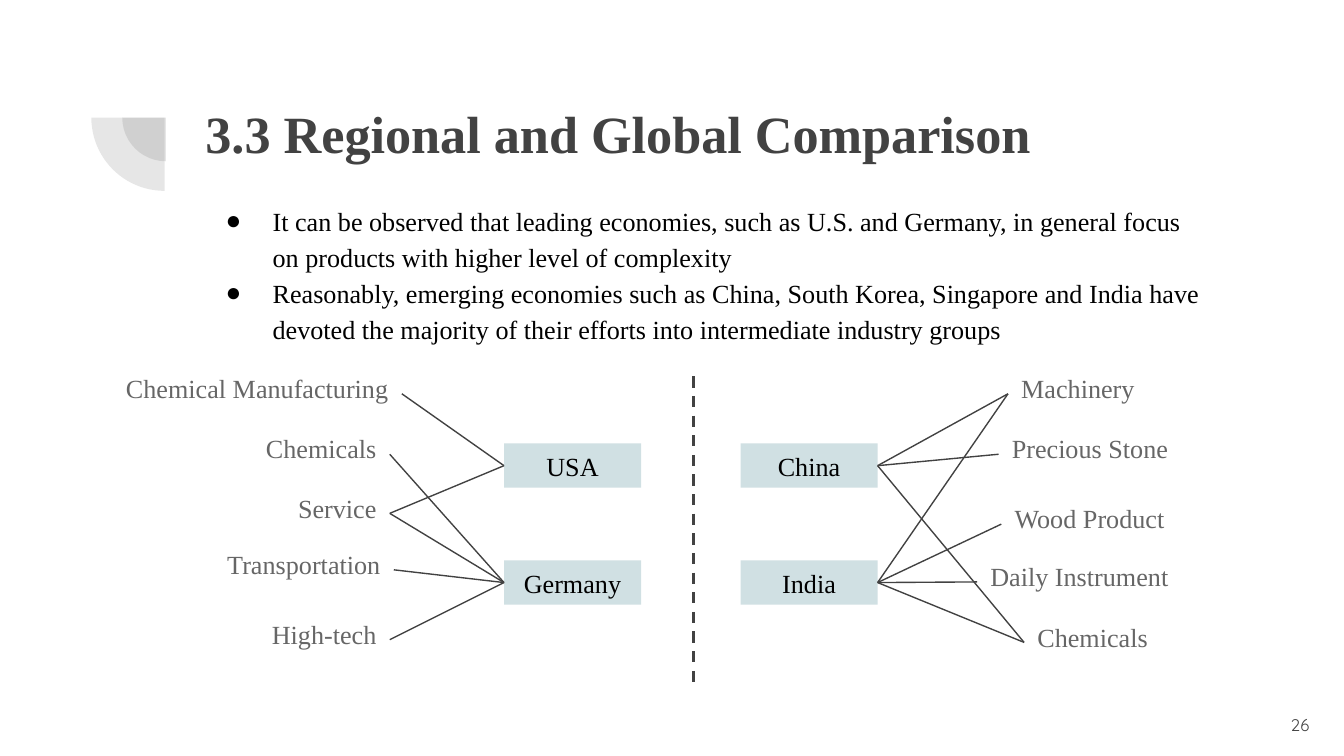
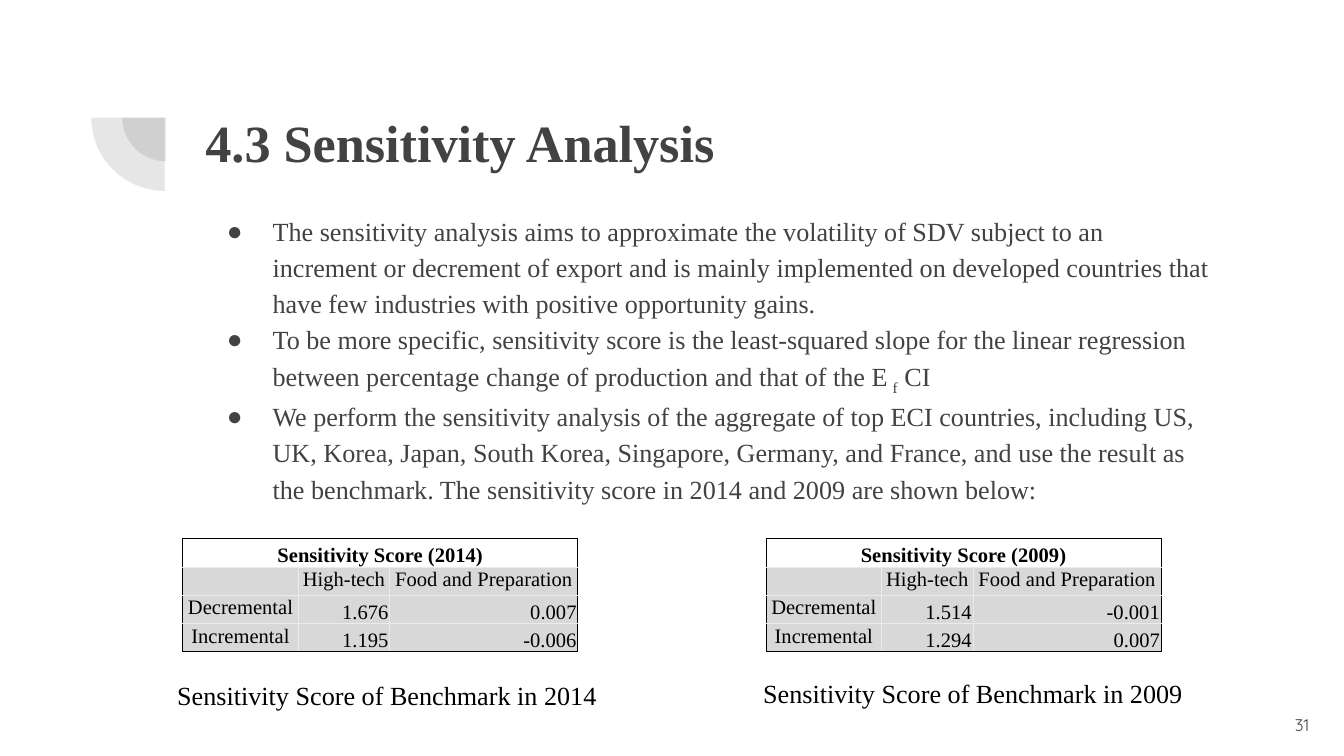
from lxml import etree
from pptx import Presentation
from pptx.dml.color import RGBColor
from pptx.enum.dml import MSO_LINE
from pptx.enum.shapes import MSO_CONNECTOR, MSO_SHAPE
from pptx.enum.text import MSO_ANCHOR, PP_ALIGN
from pptx.oxml.ns import qn
from pptx.util import Pt

PX = 9144  # 100 px to the inch
LEFT, CENTER, RIGHT = PP_ALIGN.LEFT, PP_ALIGN.CENTER, PP_ALIGN.RIGHT
MIDDLE, BOTTOM = MSO_ANCHOR.MIDDLE, MSO_ANCHOR.BOTTOM
STRAIGHT = MSO_CONNECTOR.STRAIGHT
PIE, RECTANGLE = MSO_SHAPE.PIE, MSO_SHAPE.RECTANGLE
DASH = MSO_LINE.DASH
LEFT_SIDE, RIGHT_SIDE = 1, 3
SERIF, SANS = "Times New Roman", "Quicksand"
COLORS = {
    "background": "FFFFFF",
    "dark": "424242",
    "black": "000000",
    "label": "666666",
    "country": "D0E0E3",
    "cell": "D8D8D8",
    "grid": "EEECE1",
}
RGB = {name: RGBColor.from_string(value) for name, value in COLORS.items()}


def add_box(slide, left, top, width, height, inset=10):
    shape = slide.shapes.add_textbox(left * PX, top * PX, width * PX, height * PX)
    frame = shape.text_frame
    frame.word_wrap = True
    frame.margin_left = frame.margin_right = 10 * PX
    frame.margin_top = frame.margin_bottom = inset * PX
    return shape


def write(paragraph, text, size, color, align=LEFT, bold=False, font=SERIF):
    """Write text; a part between bars is set as a subscript."""
    paragraph.alignment = align
    for index, part in enumerate(text.split("|")):
        run = paragraph.add_run()
        run.text = part
        run.font.name = font
        run.font.size = Pt(size)
        run.font.bold = bold
        run.font.color.rgb = RGB[color]
        if index % 2:
            run._r.get_or_add_rPr().set("baseline", "-25000")


presentation = Presentation()
presentation.slide_width = 1000 * PX
presentation.slide_height = presentation.slide_width * 9 // 16
blank_layout = presentation.slide_layouts[6]

# Shared frame: title, bullets (text, has bullet), page number
pages = [
    {
        "title": "3.3 Regional and Global Comparison",
        "title_spacing": 1.0,
        "number": "26",
        "body_top": 139,
        "body_color": "black",
        "hanging": 35,
        "body": [
            ("It can be observed that leading economies, such as U.S. and Germany, in general "
             "focus on products with higher level of complexity", True),
            ("Reasonably, emerging economies such as China, South Korea, Singapore and India "
             "have devoted the majority of their efforts into intermediate industry groups", True),
        ],
    },
    {
        "title": "4.3 Sensitivity Analysis",
        "title_spacing": 1.15,
        "number": "31",
        "body_top": 147,
        "body_color": "dark",
        "hanging": 34,
        "body": [
            ("The sensitivity analysis aims to approximate the volatility of SDV subject to an "
             "increment or decrement of export and is mainly implemented on developed countries "
             "that", True),
            ("have few industries with positive opportunity gains.", False),
            ("To be more specific, sensitivity score is the least-squared slope for the linear "
             "regression between percentage change of production and that of the E| f| CI", True),
            ("We perform the sensitivity analysis of the aggregate of top ECI countries, "
             "including US, UK, Korea, Japan, South Korea, Singapore, Germany, and France, and "
             "use the result as the benchmark. The sensitivity score in 2014 and 2009 are shown "
             "below:", True),
        ],
    },
]

slides = []
for page in pages:
    slide = presentation.slides.add_slide(blank_layout)
    slides.append(slide)
    slide.background.fill.solid()
    slide.background.fill.fore_color.rgb = RGB["background"]

    # Quarter circles beside the title
    for left, top, size in [(91, 55, 65), (68, 33, 109)]:
        quarter = slide.shapes.add_shape(PIE, left * PX, top * PX, size * PX, size * PX)
        quarter.adjustments[0] = 108
        quarter.adjustments[1] = 162
        quarter.rotation = 270
        quarter.shadow.inherit = False
        quarter.line.fill.background()
        quarter.fill.solid()
        quarter.fill.fore_color.rgb = RGB["dark"]
        fill_color = quarter._element.spPr.find(qn("a:solidFill"))[0]
        etree.SubElement(fill_color, qn("a:alpha"), val="13000")

    title = add_box(slide, 143, 65, 769, 109).text_frame.paragraphs[0]
    title.line_spacing = page["title_spacing"]
    write(title, page["title"], 28, "dark", bold=True)

    frame = add_box(slide, 143, page["body_top"], 769, 278).text_frame
    for index, (text, has_bullet) in enumerate(page["body"]):
        paragraph = frame.add_paragraph() if index else frame.paragraphs[0]
        paragraph.line_spacing = 1.15
        properties = paragraph._p.get_or_add_pPr()
        properties.set("marL", str(50 * PX))
        properties.set("indent", str(-page["hanging"] * PX if has_bullet else 0))
        if has_bullet:
            bullet_color = etree.SubElement(properties, qn("a:buClr"))
            etree.SubElement(bullet_color, qn("a:srgbClr"), val=COLORS[page["body_color"]])
            etree.SubElement(properties, qn("a:buFont"), typeface=SERIF)
            etree.SubElement(properties, qn("a:buChar"), char="●")
        write(paragraph, text, 14, page["body_color"])

    number = add_box(slide, 924, 518, 60, 43).text_frame
    number.vertical_anchor = MIDDLE
    write(number.paragraphs[0], page["number"], 9, "dark", RIGHT, font=SANS)

comparison, sensitivity = slides

# Country boxes
countries = {}
for name, left, top in [("USA", 375, 330), ("Germany", 375, 417),
                        ("China", 551, 330), ("India", 551, 417)]:
    country = comparison.shapes.add_shape(RECTANGLE, left * PX, top * PX, 102 * PX, 33 * PX)
    country.shadow.inherit = False
    country.fill.solid()
    country.fill.fore_color.rgb = RGB["country"]
    country.line.fill.background()
    country.text_frame.vertical_anchor = MIDDLE
    write(country.text_frame.paragraphs[0], name, 14, "black", CENTER)
    countries[name] = country

# Industry labels, each joined to its countries
left_industries = [
    ("Chemical Manufacturing", 71, 267, ["USA"]),
    ("Chemicals", 62, 312, ["Germany"]),
    ("Service", 62, 356, ["USA", "Germany"]),
    ("Transportation", 65, 398, ["Germany"]),
    ("High-tech", 62, 450, ["Germany"]),
]
right_industries = [
    ("Machinery", 750, 267, ["China", "India"]),
    ("Precious Stone", 743, 312, ["China"]),
    ("Wood Product", 745, 364, ["India"]),
    ("Daily Instrument", 727, 407, ["India"]),
    ("Chemicals", 762, 452, ["China", "India"]),
]
connectors = []
for industries, align, label_side, country_side in [
    (left_industries, RIGHT, RIGHT_SIDE, LEFT_SIDE),
    (right_industries, LEFT, LEFT_SIDE, RIGHT_SIDE),
]:
    for text, left, top, linked_countries in industries:
        label = add_box(comparison, left, top, 228, 52)
        write(label.text_frame.paragraphs[0], text, 14, "label", align)
        for name in linked_countries:
            link = comparison.shapes.add_connector(STRAIGHT, 0, 0, 0, 0)
            link.begin_connect(label, label_side)
            link.end_connect(countries[name], country_side)
            link.line.width = Pt(0.75)
            connectors.append(link)

# Dashed divider
divider = comparison.shapes.add_connector(STRAIGHT, 516 * PX, 280 * PX, 516 * PX, 510 * PX)
divider.line.width = Pt(1.5)
divider.line.dash_style = DASH
connectors.append(divider)

for connector in connectors:
    connector.line.color.rgb = RGB["dark"]
    etree.SubElement(connector._element.spPr, qn("a:effectLst"))

# Score tables with captions
column_widths = [86, 68, 140]
score_tables = [
    ("2014", 136, 122, 501, [("1.676", "0.007"), ("1.195", "-0.006")]),
    ("2009", 570, 558, 499, [("1.514", "-0.001"), ("1.294", "0.007")]),
]
for year, left, caption_left, caption_top, scores in score_tables:
    rows = [
        (f"Sensitivity Score ({year})", "", ""),
        ("", "High-tech", "Food and Preparation"),
        ("Decremental", *scores[0]),
        ("Incremental", *scores[1]),
    ]
    table = sensitivity.shapes.add_table(
        4, 3, left * PX, 401 * PX, sum(column_widths) * PX, 84 * PX).table
    table.first_row = table.horz_banding = False
    for column, width in zip(table.columns, column_widths):
        column.width = width * PX
    table.cell(0, 0).merge(table.cell(0, 2))

    for row_index, row in enumerate(rows):
        table.rows[row_index].height = 21 * PX
        for column_index, text in enumerate(row):
            cell = table.cell(row_index, column_index)
            is_title = row_index == 0
            is_score = row_index > 1 and column_index > 0
            cell.margin_left = cell.margin_right = cell.margin_top = PX
            cell.margin_bottom = 0
            if is_title or is_score:
                cell.vertical_anchor = BOTTOM
            paragraph = cell.text_frame.paragraphs[0]
            if text:
                write(paragraph, text, 11, "black", RIGHT if is_score else CENTER, is_title)
            else:
                etree.SubElement(paragraph._p, qn("a:endParaRPr"), sz="1100")

            # Black outside, pale inside
            outer_sides = {
                "a:lnL": column_index == 0,
                "a:lnR": column_index + cell.span_width >= 3,
                "a:lnT": row_index == 0,
                "a:lnB": row_index == 3,
            }
            cell_properties = cell._tc.get_or_add_tcPr()
            for tag, is_outer in outer_sides.items():
                border = etree.SubElement(cell_properties, qn(tag), w=str(Pt(0.5)))
                border_fill = etree.SubElement(border, qn("a:solidFill"))
                border_color = COLORS["black" if is_outer else "grid"]
                etree.SubElement(border_fill, qn("a:srgbClr"), val=border_color)
            cell.fill.solid()
            cell.fill.fore_color.rgb = RGB["background" if is_title else "cell"]

    caption = add_box(sensitivity, caption_left, caption_top, 335, 34, inset=5).text_frame
    caption.word_wrap = False
    write(caption.paragraphs[0], f"Sensitivity Score of Benchmark in {year}", 14, "black")

presentation.save("out.pptx")
